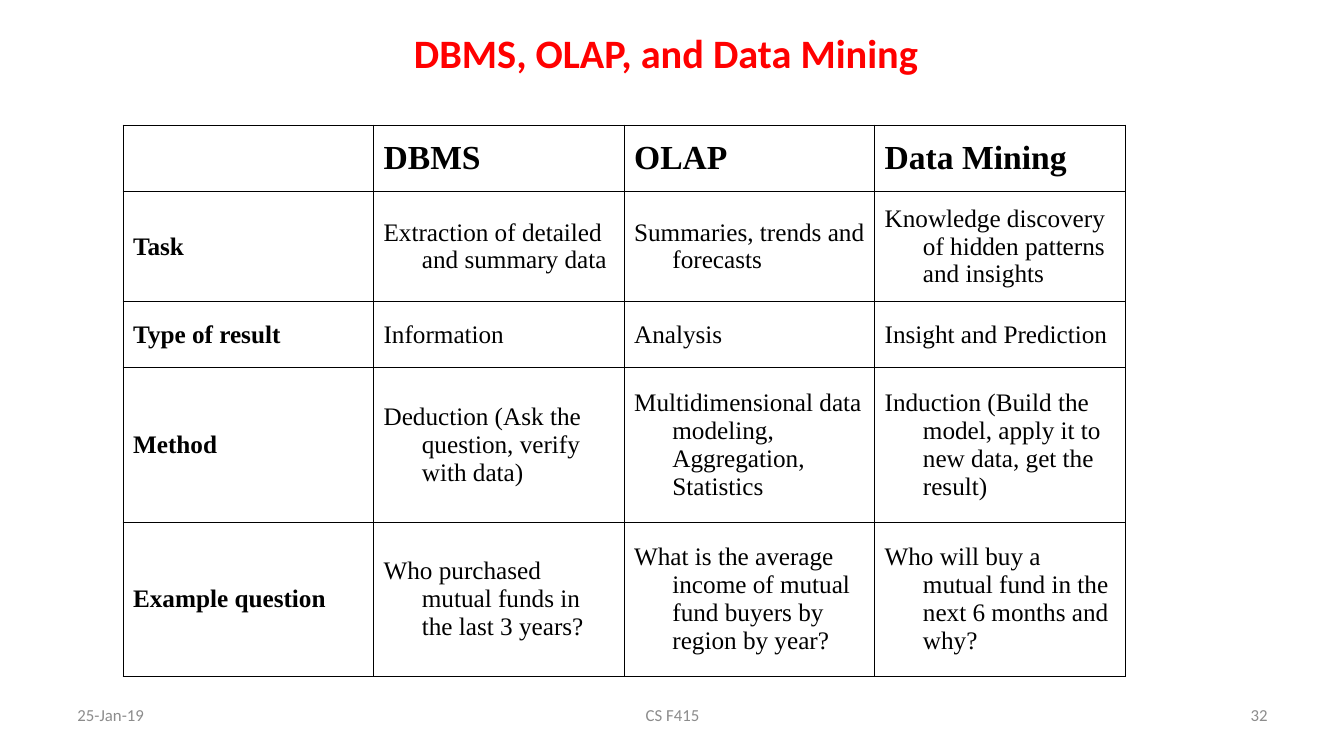
from dataclasses import dataclass

from lxml import etree
from pptx import Presentation
from pptx import util as u
from pptx.dml import color
from pptx.enum import text
from pptx.oxml import ns


@dataclass(frozen=True)
class Font:
    face: str
    size: float
    tint: str
    bold: bool = False


@dataclass(frozen=True)
class Theme:
    title: Font = Font("Calibri", 28.8, "FF0000", True)
    space: Font = Font("Calibri", 39.6, "FF0000")
    head: Font = Font("Times New Roman", 24, "000000", True)
    label: Font = Font("Times New Roman", 18, "000000", True)
    body: Font = Font("Times New Roman", 18, "000000")
    foot: Font = Font("Calibri", 12, "8C8C8C")
    rule: str = "000000"
    width: float = 0.75


@dataclass(frozen=True)
class Foot:
    words: str
    left: float
    width: float
    align: text.PP_ALIGN


THEME = Theme()
HANG = u.Inches(0.38)
WIDTH = 9.94
HEIGHTS = [0.66, 1.09, 0.66, 1.53, 1.53]
ROWS = [
    ["", "DBMS", "OLAP", "Data Mining"],
    ["Task", "Extraction of detailed and summary data",
     "Summaries, trends and forecasts",
     "Knowledge discovery of hidden patterns and insights"],
    ["Type of result", "Information", "Analysis", "Insight and Prediction"],
    ["Method", "Deduction (Ask the question, verify with data)",
     "Multidimensional data modeling, Aggregation, Statistics",
     "Induction (Build the model, apply it to new data, get the result)"],
    ["Example question", "Who purchased mutual funds in the last 3 years?",
     "What is the average income of mutual fund buyers by region by year?",
     "Who will buy a mutual fund in the next 6 months and why?"],
]
FEET = [
    Foot("25-Jan-19", 0.67, 3.11, text.PP_ALIGN.LEFT),
    Foot("CS F415", 4.56, 4.22, text.PP_ALIGN.CENTER),
    Foot("32", 9.56, 3.11, text.PP_ALIGN.RIGHT),
]


def add_run(para, words: str, font: Font) -> None:
    run = para.add_run()
    run.text = words
    run.font.name = font.face
    run.font.size = u.Pt(font.size)
    run.font.bold = font.bold
    run.font.color.rgb = color.RGBColor.from_string(font.tint)


def add_title(slide) -> None:
    title = slide.shapes.title
    title.left, title.top = u.Inches(0.67), u.Inches(0.3)
    title.width, title.height = u.Inches(12), u.Inches(0.41)
    frame = title.text_frame
    frame.auto_size = text.MSO_AUTO_SIZE.NONE
    frame.vertical_anchor = text.MSO_ANCHOR.MIDDLE
    para = frame.paragraphs[0]
    para.alignment = text.PP_ALIGN.CENTER
    para.line_spacing = 0.9
    add_run(para, "DBMS, OLAP, and Data Mining", THEME.title)
    add_run(para, " ", THEME.space)


def add_edges(cell) -> None:
    props = cell._tc.get_or_add_tcPr()
    for spot, side in enumerate(("lnL", "lnR", "lnT", "lnB")):
        line = etree.Element(ns.qn(f"a:{side}"), w=str(u.Pt(THEME.width)))
        fill = etree.SubElement(line, ns.qn("a:solidFill"))
        etree.SubElement(fill, ns.qn("a:srgbClr"), val=THEME.rule)
        props.insert(spot, line)


def fill_cell(cell, words: str, font: Font) -> None:
    cell.fill.background()
    cell.vertical_anchor = text.MSO_ANCHOR.MIDDLE
    add_edges(cell)
    if words:
        para = cell.text_frame.paragraphs[0]
        props = para._p.get_or_add_pPr()
        props.set("marL", str(HANG))
        props.set("indent", str(-HANG))
        add_run(para, words, font)


def add_grid(slide) -> None:
    count = len(ROWS[0])
    table = slide.shapes.add_table(
        len(ROWS), count, u.Inches(1.22), u.Inches(1.24),
        u.Inches(WIDTH), u.Inches(sum(HEIGHTS))).table
    table.first_row = table.horz_banding = False
    for col in table.columns:
        col.width = u.Inches(WIDTH / count)
    for r, (row, high) in enumerate(zip(ROWS, HEIGHTS)):
        table.rows[r].height = u.Inches(high)
        for c, words in enumerate(row):
            font = THEME.head if r == 0 else THEME.body if c else THEME.label
            fill_cell(table.cell(r, c), words, font)


def add_foot(slide, foot: Foot) -> None:
    box = slide.shapes.add_textbox(
        u.Inches(foot.left), u.Inches(6.83),
        u.Inches(foot.width), u.Inches(0.52))
    frame = box.text_frame
    frame.word_wrap = True
    frame.vertical_anchor = text.MSO_ANCHOR.MIDDLE
    para = frame.paragraphs[0]
    para.alignment = foot.align
    add_run(para, foot.words, THEME.foot)


def main() -> None:
    deck = Presentation()
    deck.slide_width, deck.slide_height = u.Inches(13.33), u.Inches(7.5)
    slide = deck.slides.add_slide(deck.slide_layouts.get_by_name("Title Only"))
    add_title(slide)
    add_grid(slide)
    for foot in FEET:
        add_foot(slide, foot)
    deck.save("out.pptx")


main()
